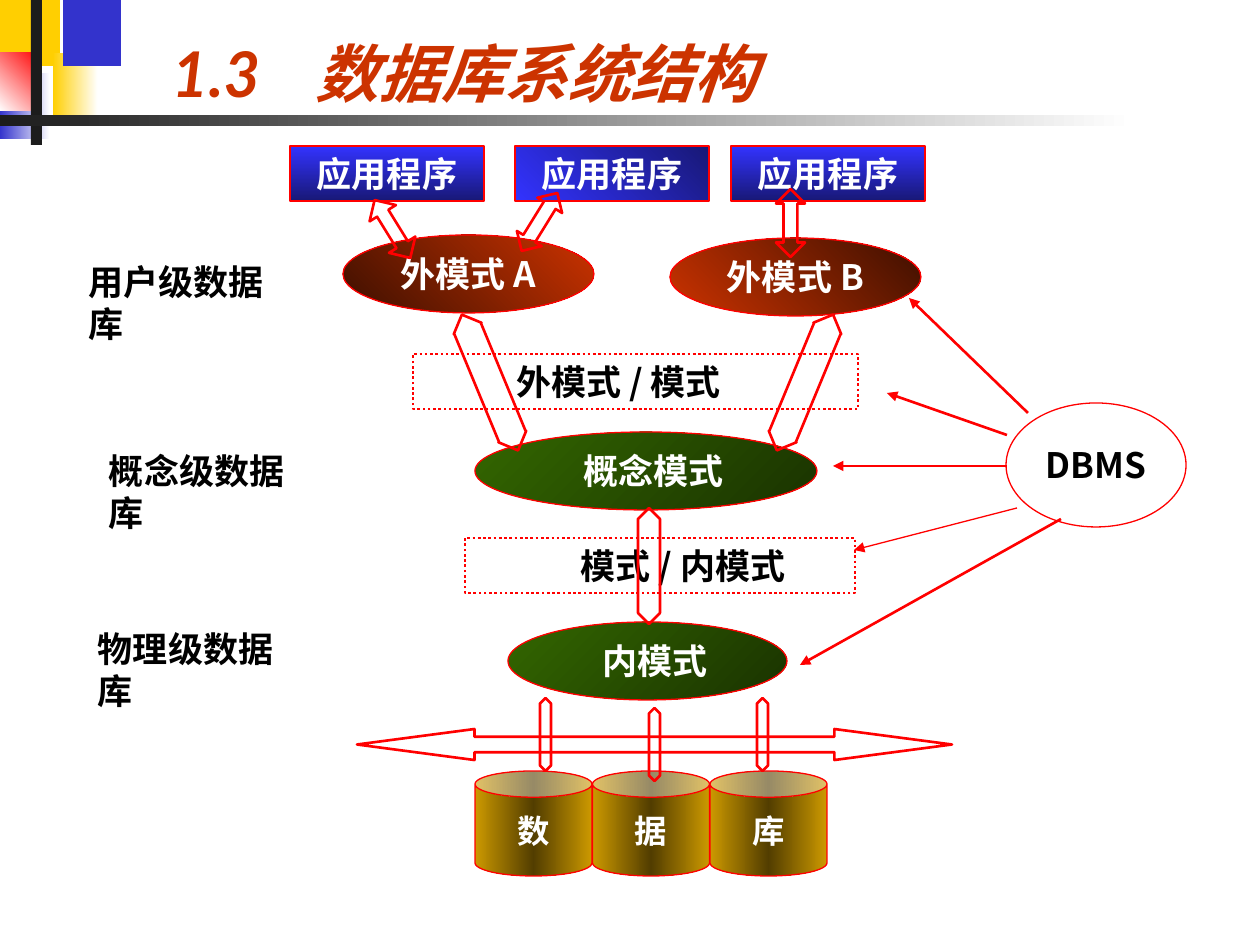
from dataclasses import dataclass
from lxml.etree import SubElement as Sub
from pptx import Presentation
from pptx.dml.color import RGBColor as RGB
from pptx.enum.dml import MSO_LINE as Dash
from pptx.enum.shapes import MSO_CONNECTOR as Link, MSO_SHAPE as Kind
from pptx.enum.text import MSO_ANCHOR as Anchor, PP_ALIGN as Align
from pptx.oxml.ns import qn
from pptx.util import Emu, Pt


@dataclass(frozen=True)
class Theme:
    head: str = "Lato"
    font: str = "Noto Sans CJK SC"
    big: float = 36
    text: float = 20
    small: float = 18.5
    thin: float = 0.75
    thick: float = 1.5
    white: str = "FFFFFF"
    black: str = "000000"
    ink: str = "1C1C1C"
    red: str = "FF0000"
    rust: str = "CC3300"
    brown: str = "3D0F00"
    gold: str = "FFCF01"
    navy: str = "3333CC"
    blue: str = "3333FF"
    night: str = "181876"
    green: str = "336600"
    moss: str = "1A3300"
    ochre: str = "CC9900"
    umber: str = "523D00"


T = Theme()


def px(n):
    return Emu(round(n * 914400 / 126))


def paint(shape, fill):
    if fill is None:
        shape.fill.background()
    elif isinstance(fill, str):
        shape.fill.solid()
        shape.fill.fore_color.rgb = RGB.from_string(fill)
    else:
        turn, *tints = fill
        shape.fill.gradient()
        shape.fill.gradient_angle = -turn % 360
        stops = shape._element.spPr.find(".//" + qn("a:gsLst"))
        stops.clear()
        for i, tint in enumerate(tints):
            stop = Sub(stops, qn("a:gs"), pos=str(i * 100000 // (len(tints) - 1)))
            Sub(stop, qn("a:srgbClr"), val=tint)


def write(shape, text, size=T.text, color=T.white, face=T.font, italic=False,
          align=Align.CENTER, anchor=Anchor.MIDDLE, wrap=True, shift=0, tab=None):
    frame = shape.text_frame
    frame.word_wrap = wrap
    frame.vertical_anchor = anchor
    frame.margin_left = px(13 + max(0, 2 * shift))
    frame.margin_right = px(13 + max(0, -2 * shift))
    frame.margin_top = frame.margin_bottom = px(6)
    par = frame.paragraphs[0]
    par.alignment = align
    if tab:
        tabs = Sub(par._p.get_or_add_pPr(), qn("a:tabLst"))
        Sub(tabs, qn("a:tab"), pos=str(px(tab)), algn="l")
    run = par.add_run()
    run.text = text
    font = run.font
    font.size, font.bold, font.italic, font.name = Pt(size), True, italic, face
    font.color.rgb = RGB.from_string(color)
    Sub(run._r.get_or_add_rPr(), qn("a:ea"), typeface=T.font)


def draw(slide, kind, box, fill=None, line=T.thin, dash=None, turn=0, adj=()):
    shape = slide.shapes.add_shape(kind, *map(px, box))
    shape.shadow.inherit = False
    shape.rotation = turn
    for i, value in enumerate(adj):
        shape.adjustments[i] = value
    paint(shape, fill)
    if line:
        shape.line.color.rgb = RGB.from_string(T.red)
        shape.line.width = Pt(line)
        if dash:
            shape.line.dash_style = dash
    else:
        shape.line.fill.background()
    return shape


def arrow(slide, ends, width=T.thick):
    link = slide.shapes.add_connector(Link.STRAIGHT, *map(px, ends))
    link.line.color.rgb = RGB.from_string(T.red)
    link.line.width = Pt(width)
    Sub(link.line._get_or_add_ln(), qn("a:tailEnd"), type="triangle")
    Sub(link._element.spPr, qn("a:effectLst"))


def label(slide, left, top, text):
    box = slide.shapes.add_textbox(*map(px, (left, top, 236, 55)))
    write(box, text, color=T.black, align=Align.LEFT, anchor=Anchor.TOP, wrap=False)


def frame(slide):
    for box, fill in (
        ((0, 0, 60, 66), T.gold),
        ((53, 53, 45, 66), (0, T.gold, T.white)),
        ((63, 0, 58, 66), T.navy),
        ((0, 73, 50, 66), (0, T.navy, T.white)),
        ((0, 53, 42, 58), (315, T.white, T.red)),
        ((31, 0, 11, 145), T.ink),
        ((0, 115, 1134, 11), (0, T.ink, T.white)),
    ):
        draw(slide, Kind.RECTANGLE, box, fill, line=None)


def title(slide, text):
    head = slide.shapes.title
    head.left, head.top, head.width, head.height = map(px, (159, 0, 1101, 116))
    write(head, text, size=T.big, color=T.rust, face=T.head, italic=True,
          align=Align.LEFT, anchor=Anchor.BOTTOM, tab=144)
    slide.shapes._spTree.append(head._element)


def blocks(slide):
    for i, char in enumerate("数据库"):
        can = draw(slide, Kind.CAN, (475 + 117.5 * i, 771, 117, 105),
                   (0, T.ochre, T.umber, T.ochre), adj=[0.25])
        write(can, char, size=T.small)
    for left, turn in ((290, 90), (515, 315), (731, 90)):
        app = draw(slide, Kind.RECTANGLE, (left, 146, 194, 55), (turn, T.blue, T.night))
        write(app, "应用程序")
    leaf = (45, T.green, T.moss)
    for box, fill, text, shift in (
        ((343, 235, 251, 78), (315, T.brown, T.rust), "外模式 A", 0),
        ((670, 238, 251, 78), (315, T.rust, T.brown), "外模式 B", 0),
        ((475, 432, 342, 78), leaf, "概念模式", 8),
        ((508, 622, 279, 78), leaf, "内模式", 8),
    ):
        write(draw(slide, Kind.OVAL, box, fill), text, wrap=False, shift=shift)
    for box, text, shift in (
        ((413, 354, 445, 55), "外模式 / 模式", -17),
        ((465, 538, 390, 55), "模式 / 内模式", 23),
    ):
        dots = draw(slide, Kind.RECTANGLE, box, line=T.thick, dash=Dash.ROUND_DOT)
        write(dots, text, color=T.black, shift=shift)
    write(draw(slide, Kind.OVAL, (1006, 403, 180, 124)), "DBMS", color=T.black)


def arrows(slide):
    for box, turn, tip in (
        ((638, 508, 22, 116), 0, 1.06),
        ((790, 309, 30, 147), 22.5, 0.96),
        ((475, 309, 30, 147), 337.5, 0.96),
        ((377, 195, 31, 68), 328.3, 0.43),
        ((525, 188, 29, 68), 31.7, 0.48),
        ((776, 189, 29, 68), 0, 0.48),
        ((540, 698, 11, 73), 0, 1.35),
        ((757, 698, 11, 73), 0, 1.35),
        ((649, 708, 11, 73), 0, 1.35),
    ):
        draw(slide, Kind.UP_DOWN_ARROW, box, line=T.thick, turn=turn, adj=(0.5, tip))
    draw(slide, Kind.LEFT_RIGHT_ARROW, (357, 729, 595, 31),
         line=T.thick, adj=(0.5, 3.79))
    for ends in ((1007, 466, 833, 466), (1028, 413, 909, 298),
                 (1007, 435, 887, 393), (1061, 519, 800, 665)):
        arrow(slide, ends)
    arrow(slide, (1017, 508, 854, 550), T.thin)


def main():
    deck = Presentation()
    deck.slide_width, deck.slide_height = px(1260), px(945)
    slide = deck.slides.add_slide(deck.slide_layouts[5])
    frame(slide)
    title(slide, "1.3\t数据库系统结构")
    blocks(slide)
    arrows(slide)
    label(slide, 75, 254, "用户级数据库")
    label(slide, 96, 443, "概念级数据库")
    label(slide, 85, 621, "物理级数据库")
    deck.save("out.pptx")


if __name__ == "__main__":
    main()
